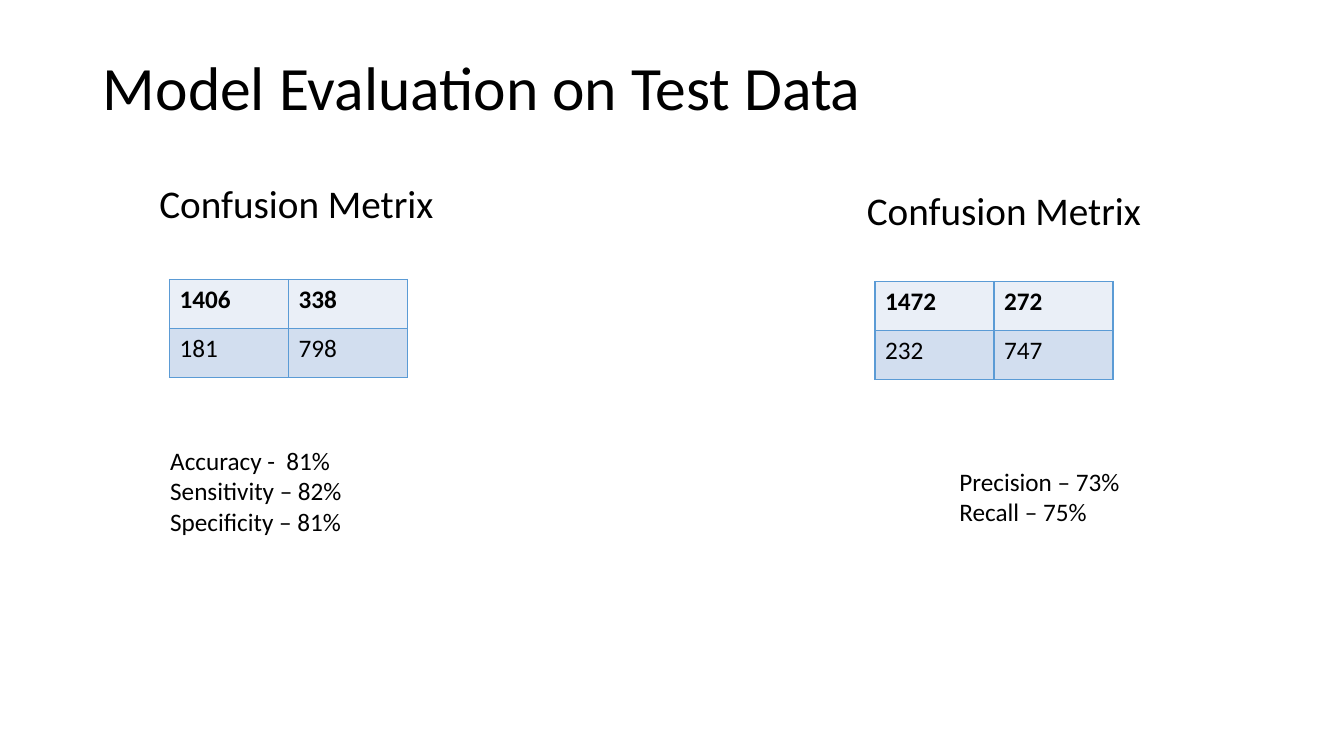
from dataclasses import dataclass

from lxml import etree
from pptx import Presentation
from pptx import util as u
from pptx.dml.color import RGBColor
from pptx.enum import text
from pptx.oxml.ns import qn

BLACK = "000000"
BORDER = "5B9BD5"
ROW_FILLS = ("EAEFF7", "D2DEEF")
CELL_WIDTH, CELL_HEIGHT = 3, 1.24


@dataclass
class Box:
    left: float
    top: float
    width: float
    height: float

    def lengths(self) -> list[u.Length]:
        return [u.Cm(v) for v in (self.left, self.top, self.width, self.height)]


@dataclass
class Evaluation:
    heading_box: Box
    matrix_left: float
    matrix_top: float
    counts: list[list[int]]
    scores_box: Box
    scores: list[str]


def colour(hex_string: str) -> RGBColor:
    return RGBColor.from_string(hex_string)


def write(frame, lines: list[str], *, size: float = 18, bold: bool = False,
          spacing: float = 1, before: float = 0,
          anchor=text.MSO_ANCHOR.TOP) -> None:
    frame.word_wrap = True
    frame.auto_size = text.MSO_AUTO_SIZE.NONE
    frame.vertical_anchor = anchor
    frame.text = "\n".join(lines)
    for paragraph in frame.paragraphs:
        paragraph.alignment = text.PP_ALIGN.LEFT
        paragraph.line_spacing = spacing
        paragraph.space_before = u.Pt(before)
        font = paragraph.font
        for run in paragraph.runs:
            font = run.font
            font.name, font.size, font.bold = "Calibri", u.Pt(size), bold
            font.color.rgb = colour(BLACK)


def place(shape, box: Box) -> None:
    shape.left, shape.top, shape.width, shape.height = box.lengths()


def remove_bullets(frame) -> None:
    for paragraph in frame.paragraphs:
        properties = paragraph._p.get_or_add_pPr()
        properties.set("marL", "0")
        properties.set("indent", "0")
        etree.SubElement(properties, qn("a:buNone"))


def outline(cell) -> None:
    properties = cell._tc.get_or_add_tcPr()
    for side in ("lnL", "lnR", "lnT", "lnB"):
        line = etree.SubElement(properties, qn(f"a:{side}"), w=str(u.Pt(1)))
        fill = etree.SubElement(line, qn("a:solidFill"))
        etree.SubElement(fill, qn("a:srgbClr"), val=BORDER)


def add_matrix(slide, evaluation: Evaluation) -> None:
    box = Box(evaluation.matrix_left, evaluation.matrix_top,
              2 * CELL_WIDTH, 2 * CELL_HEIGHT)
    matrix = slide.shapes.add_table(2, 2, *box.lengths()).table
    matrix.first_row = matrix.horz_banding = False
    for r, counts in enumerate(evaluation.counts):
        for c, count in enumerate(counts):
            cell = matrix.cell(r, c)
            write(cell.text_frame, [str(count)], bold=r == 0)
            outline(cell)
            cell.fill.solid()
            cell.fill.fore_color.rgb = colour(ROW_FILLS[r])


def add_evaluation(slide, heading, evaluation: Evaluation) -> None:
    place(heading, evaluation.heading_box)
    write(heading.text_frame, ["Confusion Metrix"], size=28, spacing=0.8, before=10)
    remove_bullets(heading.text_frame)
    add_matrix(slide, evaluation)
    scores = slide.shapes.add_textbox(*evaluation.scores_box.lengths())
    write(scores.text_frame, evaluation.scores)


evaluations = [
    Evaluation(Box(3.76, 4.62, 7.62, 1.24), 4.27, 7.04,
               [[1406, 338], [181, 798]], Box(4.04, 11.1, 9.47, 3.33),
               ["Accuracy -  81%", "Sensitivity – 82%", "Specificity – 81%"]),
    Evaluation(Box(21.59, 4.8, 7.62, 1.24), 22.05, 7.09,
               [[1472, 272], [232, 747]], Box(23.93, 11.63, 6.12, 1.8),
               ["Precision – 73%", "Recall – 75%"]),
]

deck = Presentation()
deck.slide_width, deck.slide_height = u.Cm(33.87), u.Cm(19.05)
slide = deck.slides.add_slide(deck.slide_layouts[3])
title, *headings = list(slide.placeholders)[:3]
place(title, Box(2.34, 1.02, 28.93, 2.51))
write(title.text_frame, ["Model Evaluation on Test Data"], size=44, spacing=0.9,
      anchor=text.MSO_ANCHOR.MIDDLE)
for heading, evaluation in zip(headings, evaluations):
    add_evaluation(slide, heading, evaluation)
deck.save("out.pptx")
